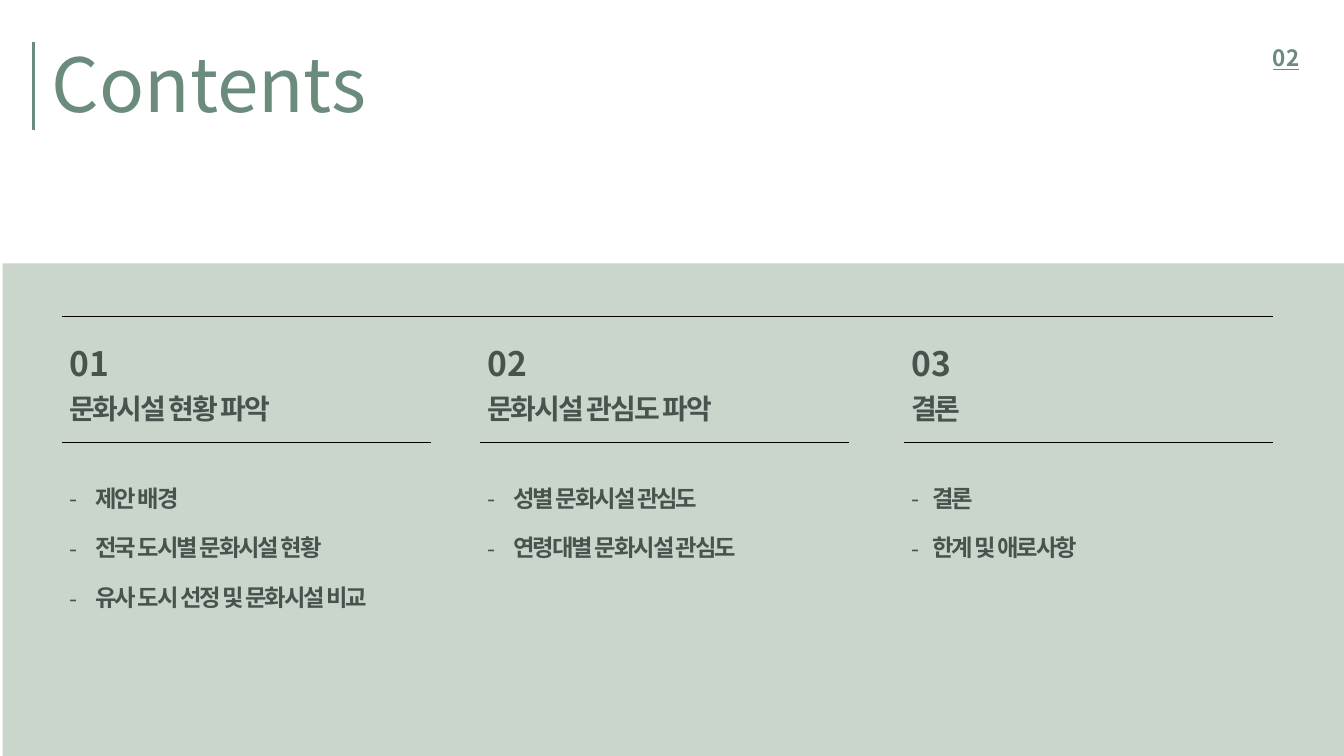
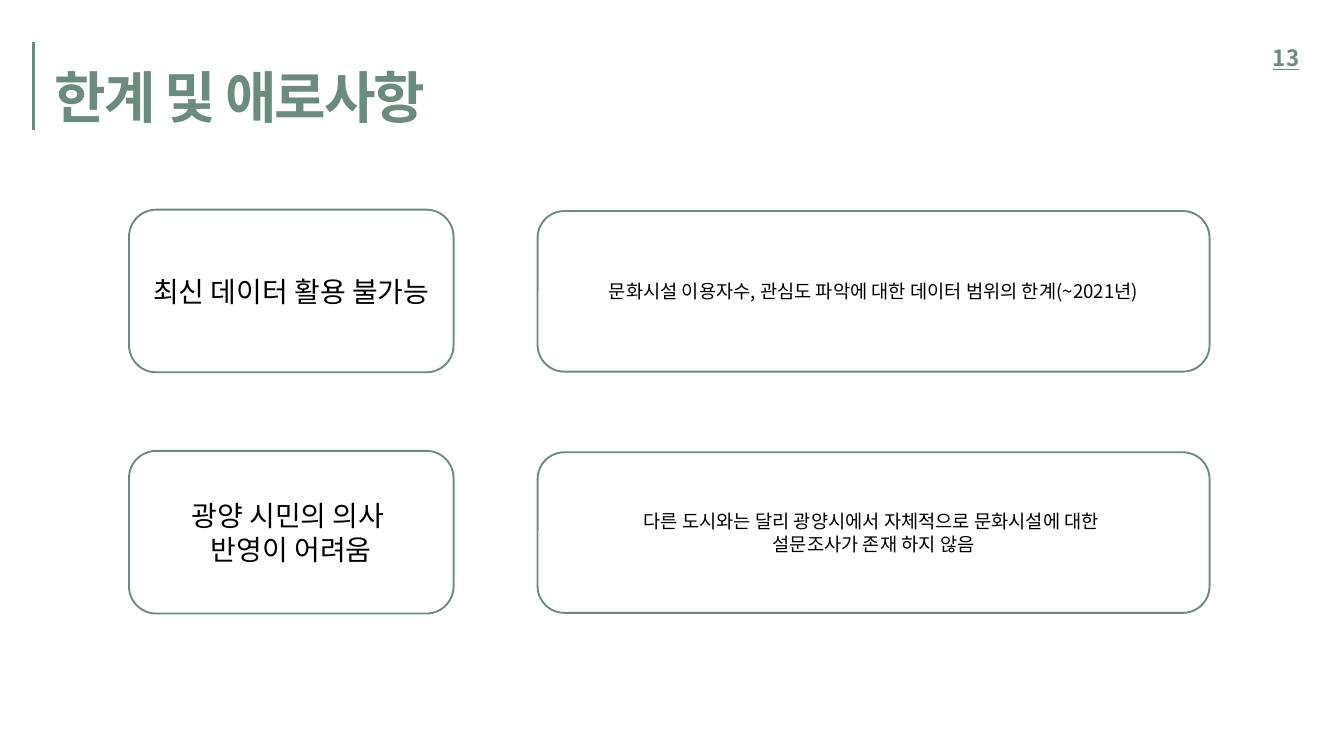
from lxml.etree import SubElement as Sub
from pptx import Presentation
from pptx.dml.color import RGBColor as RGB
from pptx.enum.shapes import MSO_CONNECTOR as Wire, MSO_SHAPE as Kind
from pptx.enum.text import MSO_ANCHOR as Anchor, MSO_AUTO_SIZE as Auto, PP_ALIGN as Align
from pptx.oxml.ns import qn
from pptx.util import Inches, Pt

FONT = "Noto Sans CJK KR"
HUE = {"green": "6B8B7D", "pale": "CAD5CC", "dark": "49534E",
       "black": "000000", "white": "FFFFFF"}

PARTS = [
    (0.92, 0.38, "01", "문화시설 현황 파악",
     ["제안 배경", "전국 도시별 문화시설 현황", "유사 도시 선정 및 문화시설 비교"]),
    (7.14, 0.38, "02", "문화시설 관심도 파악",
     ["성별 문화시설 관심도", "연령대별 문화시설 관심도"]),
    (13.45, 0.3, "03", "결론", ["결론", "한계 및 애로사항"]),
]
LIMITS = [
    (["최신 데이터 활용 불가능"],
     ["문화시설 이용자수, 관심도 파악에 대한 데이터 범위의 한계(~2021년)"]),
    (["광양 시민의 의사 ", "반영이 어려움"],
     ["다른 도시와는 달리 광양시에서 자체적으로 문화시설에 대한 ", "설문조사가 존재 하지 않음"]),
]
RIGHT = 18.94
RULE = 5.49
INSET = 0.11


def style(para, size, hue, bold=False, track=0, before=0, lead=None):
    para.space_before = Pt(before)
    if lead:
        para.line_spacing = lead
    for run in para.runs:
        font = run.font
        font.name, font.size, font.bold = FONT, Pt(size), bold
        font.color.rgb = RGB.from_string(HUE[hue])
        Sub(font._element, qn("a:ea"), typeface=FONT)
        if track:
            font._element.set("spc", str(round(track * 100)))


def dash(para, hang):
    props = para._p.get_or_add_pPr()
    props.set("marL", str(Inches(hang + 0.01)))
    props.set("indent", str(-Inches(hang)))
    Sub(props, qn("a:buFont"), typeface=FONT)
    Sub(props, qn("a:buChar"), char="-")


def write(slide, box, lines, top=None):
    shape = slide.shapes.add_textbox(*map(Inches, box))
    frame = shape.text_frame
    frame.word_wrap = True
    frame.auto_size = Auto.SHAPE_TO_FIT_TEXT
    if top is not None:
        frame.margin_left = frame.margin_right = frame.margin_bottom = 0
        frame.margin_top = Inches(top)
    frame.text = "\n".join(lines)
    return frame.paragraphs


def rule(slide, x1, y1, x2, y2, hue="black", width=0.75):
    line = slide.shapes.add_connector(Wire.STRAIGHT, *map(Inches, (x1, y1, x2, y2)))
    line.line.color.rgb = RGB.from_string(HUE[hue])
    line.line.width = Pt(width)
    Sub(line._element.spPr, qn("a:effectLst"))


def block(shapes, kind, box, fill, edge=None):
    shape = shapes.add_shape(kind, *map(Inches, box))
    shape.shadow.inherit = False
    shape.fill.solid()
    shape.fill.fore_color.rgb = RGB.from_string(HUE[fill])
    if edge:
        shape.line.color.rgb = RGB.from_string(HUE[edge])
        shape.line.width = Pt(2)
    else:
        shape.line.fill.background()
    return shape


def start(deck, page, title, box, **look):
    slide = deck.slides.add_slide(deck.slide_layouts[6])
    para = write(slide, (RIGHT, 0.64, 1.06, 0.43), [page], 0.01)[0]
    style(para, 24, "green", bold=True, track=0.3, before=1)
    para.runs[0].font.underline = True
    rule(slide, 0.5, 0.63, 0.5, 1.93, "green", 3)
    style(write(slide, box, [title])[0], hue="green", **look)
    return slide


def contents(deck):
    slide = start(deck, "02", "Contents", (0.67, 0.51, 5.53, 1.45), size=80)
    block(slide.shapes, Kind.RECTANGLE, (0.04, 3.92, 19.96, 7.33), "pale")
    rule(slide, PARTS[0][0], 4.71, RIGHT, 4.71)
    for left, hang, mark, name, items in PARTS:
        rule(slide, left, 6.59, left + RULE, 6.59)
        head = write(slide, (left + INSET, 4.96, 5.81, 1.38), [mark, name], 0.15)
        style(head[0], 36, "dark", True, 0.6, 10.9)
        style(head[1], 30, "dark", True, -2.1, 8.3)
        for para in write(slide, (left + INSET, 6.84, 5.81, 2.27), items, 0.15):
            style(para, 25, "dark", True, -2.1, 8.3, 1.5)
            dash(para, hang)


def limits(deck):
    slide = start(deck, "13", "한계 및 애로사항", (0.72, 0.38, 13.37, 1.62),
                  size=60, bold=True, track=-2.1, before=8.3, lead=1.5)
    for row, (cause, detail) in enumerate(LIMITS):
        top = 3.12 + 3.59 * row
        pair = slide.shapes.add_group_shape()
        for box, lines, size in (((1.92, top, 4.83, 2.42), cause, 30),
                                 ((8, top + 0.02, 10, 2.39), detail, 20)):
            card = block(pair.shapes, Kind.ROUNDED_RECTANGLE, box, "white", "green")
            frame = card.text_frame
            frame.word_wrap = True
            frame.vertical_anchor = Anchor.MIDDLE
            frame.text = "\n".join(lines)
            for para in frame.paragraphs:
                para.alignment = Align.CENTER
                style(para, size, "black")


def main():
    deck = Presentation()
    deck.slide_width, deck.slide_height = Inches(20), Inches(11.25)
    contents(deck)
    limits(deck)
    deck.save("out.pptx")


if __name__ == "__main__":
    main()
